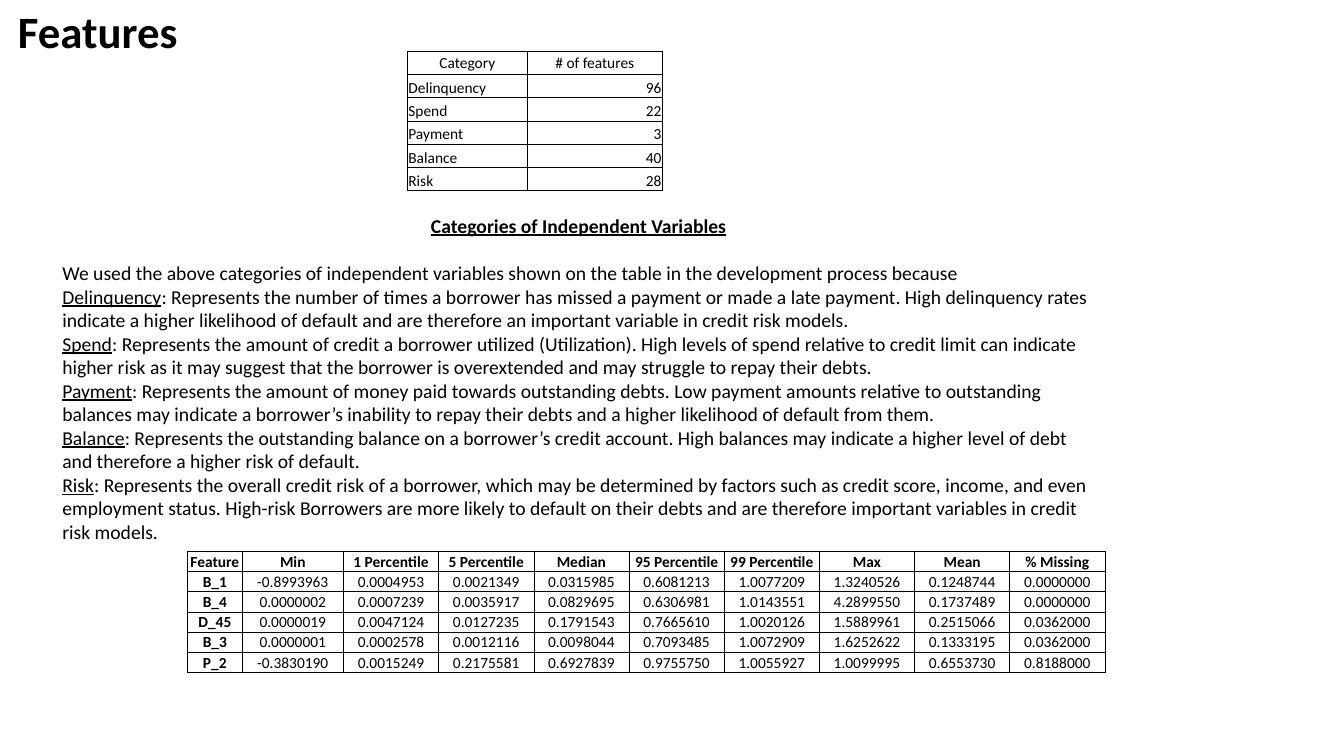
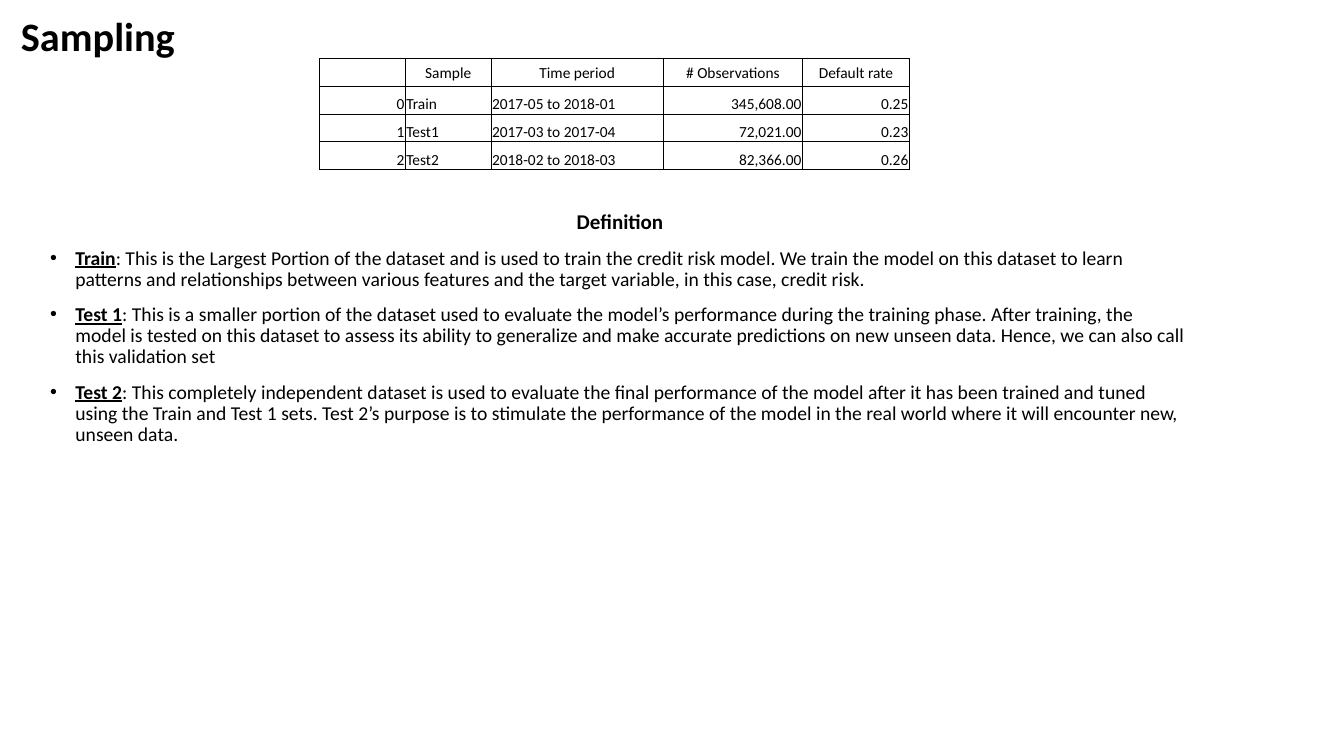
from lxml import etree
from pptx import Presentation
from pptx.dml.color import RGBColor
from pptx.enum.text import MSO_ANCHOR, PP_ALIGN
from pptx.oxml.ns import qn
from pptx.util import Pt

LEFT, MID, RIGHT = PP_ALIGN.LEFT, PP_ALIGN.CENTER, PP_ALIGN.RIGHT
CENTRE, BOTTOM = MSO_ANCHOR.MIDDLE, MSO_ANCHOR.BOTTOM
SCALE = 9144
FONT = "Calibri"
BLANK = 6
COLORS = {"ink": "000000"}

GROUPS = [
    ["Category", "# of features"],
    ["Delinquency", "96"],
    ["Spend", "22"],
    ["Payment", "3"],
    ["Balance", "40"],
    ["Risk", "28"],
]
STATS = [
    ["Feature", "Min", "1 Percentile", "5 Percentile", "Median", "95 Percentile",
     "99 Percentile", "Max", "Mean", "% Missing"],
    ["B_1", "-0.8993963", "0.0004953", "0.0021349", "0.0315985", "0.6081213",
     "1.0077209", "1.3240526", "0.1248744", "0.0000000"],
    ["B_4", "0.0000002", "0.0007239", "0.0035917", "0.0829695", "0.6306981",
     "1.0143551", "4.2899550", "0.1737489", "0.0000000"],
    ["D_45", "0.0000019", "0.0047124", "0.0127235", "0.1791543", "0.7665610",
     "1.0020126", "1.5889961", "0.2515066", "0.0362000"],
    ["B_3", "0.0000001", "0.0002578", "0.0012116", "0.0098044", "0.7093485",
     "1.0072909", "1.6252622", "0.1333195", "0.0362000"],
    ["P_2", "-0.3830190", "0.0015249", "0.2175581", "0.6927839", "0.9755750",
     "1.0055927", "1.0099995", "0.6553730", "0.8188000"],
]
SAMPLES = [
    ["", "Sample", "Time period", "# Observations", "Default rate"],
    ["0", "Train", "2017-05 to 2018-01", "345,608.00", "0.25"],
    ["1", "Test1", "2017-03 to 2017-04", "72,021.00", "0.23"],
    ["2", "Test2", "2018-02 to 2018-03", "82,366.00", "0.26"],
]
INTRO = ("We used the above categories of independent variables shown on the table "
         "in the development process because")
REASONS = [
    ("Delinquency", ": Represents the number of times a borrower has missed a payment or "
     "made a late payment. High delinquency rates indicate a higher likelihood of default "
     "and are therefore an important variable in credit risk models."),
    ("Spend", ": Represents the amount of credit a borrower utilized (Utilization). High "
     "levels of spend relative to credit limit can indicate higher risk as it may suggest "
     "that the borrower is overextended and may struggle to repay their debts."),
    ("Payment", ": Represents the amount of money paid towards outstanding debts. Low "
     "payment amounts relative to outstanding balances may indicate a borrower’s inability "
     "to repay their debts and a higher likelihood of default from them."),
    ("Balance", ": Represents the outstanding balance on a borrower’s credit account. High "
     "balances may indicate a higher level of debt and therefore a higher risk of default."),
    ("Risk", ": Represents the overall credit risk of a borrower, which may be determined by "
     "factors such as credit score, income, and even employment status. High-risk Borrowers "
     "are more likely to default on their debts and are therefore important variables in "
     "credit risk models."),
]
SETS = [
    ("Train", ": This is the Largest Portion of the dataset and is used to train the credit "
     "risk model. We train the model on this dataset to learn patterns and relationships "
     "between various features and the target variable, in this case, credit risk."),
    ("Test 1", ": This is a smaller portion of the dataset used to evaluate the model’s "
     "performance during the training phase. After training, the model is tested on this "
     "dataset to assess its ability to generalize and make accurate predictions on new "
     "unseen data. Hence, we can also call this validation set"),
    ("Test 2", ": This completely independent dataset is used to evaluate the final "
     "performance of the model after it has been trained and tuned using the Train and "
     "Test 1 sets. Test 2’s purpose is to stimulate the performance of the model in the "
     "real world where it will encounter new, unseen data."),
]


def px(value):
    return round(value * SCALE)


def style(run, size, bold=False, line=False):
    font = run.font
    font.name, font.size = FONT, Pt(size)
    font.bold, font.underline = bold, line
    font.color.rgb = RGBColor.from_string(COLORS["ink"])


def add_box(slide, box):
    frame = slide.shapes.add_textbox(*map(px, box)).text_frame
    frame.word_wrap = True
    return frame


def add_title(slide, box, text, size):
    frame = add_box(slide, box)
    frame.text = text
    frame.vertical_anchor = CENTRE
    para = frame.paragraphs[0]
    para.line_spacing = 0.9
    style(para.runs[0], size, True)


def add_head(frame, text, size, line=False):
    para = frame.paragraphs[0]
    para.text = text
    para.alignment = MID
    style(para.runs[0], size, True, line)
    return para


def add_term(frame, term, text, bold=False):
    para = frame.add_paragraph()
    for part, lead in ((term, True), (text, False)):
        run = para.add_run()
        run.text = part
        style(run, 14, bold and lead, lead)
    return para


def add_dot(para):
    props = para._p.get_or_add_pPr()
    props.set("marL", str(px(25)))
    props.set("indent", str(px(-25)))
    etree.SubElement(props, qn("a:buFont")).set("typeface", "Arial")
    etree.SubElement(props, qn("a:buChar")).set("char", "•")


def add_edges(cell):
    props = cell._tc.get_or_add_tcPr()
    for side in ("lnL", "lnR", "lnT", "lnB"):
        edge = etree.SubElement(props, qn("a:" + side), w=str(Pt(0.5)))
        fill = etree.SubElement(edge, qn("a:solidFill"))
        etree.SubElement(fill, qn("a:srgbClr"), val=COLORS["ink"])


def fill_cell(cell, text, align, anchor, bold):
    cell.margin_left = cell.margin_right = cell.margin_top = px(1)
    cell.margin_bottom = 0
    cell.vertical_anchor = anchor
    add_edges(cell)
    cell.fill.background()
    para = cell.text_frame.paragraphs[0]
    para.alignment = align
    if text:
        para.text = text
        style(para.runs[0], 11, bold)
    else:
        etree.SubElement(para._p, qn("a:endParaRPr"), sz="1100")


def add_grid(slide, box, widths, rows, aligns, bold=False):
    table = slide.shapes.add_table(len(rows), len(widths), *map(px, box)).table
    table.first_row = table.horz_banding = False
    for col, width in zip(table.columns, widths):
        col.width = px(box[2] * width / sum(widths))
    for r, row in enumerate(rows):
        table.rows[r].height = px(box[3] / len(rows))
        for c, text in enumerate(row):
            align, anchor = (aligns[c], BOTTOM) if r else (MID, CENTRE)
            fill_cell(table.cell(r, c), text, align, anchor, bold and 0 in (r, c))


def add_features(slide):
    add_title(slide, (8, 16, 1150, 35), "Features", 32)
    add_grid(slide, (404, 51, 253, 138), [119, 134], GROUPS, [LEFT, RIGHT])
    frame = add_box(slide, (52, 207, 1044, 481))
    head = add_head(frame, "Categories of Independent Variables", 14, True)
    head.space_after = Pt(17)
    intro = frame.add_paragraph()
    intro.text = INTRO
    style(intro.runs[0], 14)
    for term, text in REASONS:
        add_term(frame, term, text)
    add_grid(slide, (186, 547, 910, 120), [54, 100] + [94] * 8, STATS, [MID] * 10, True)


def add_sampling(slide):
    add_title(slide, (11, 17, 1150, 42), "Sampling", 28.8)
    frame = add_box(slide, (40, 205, 1150, 437))
    add_head(frame, "Definition", 15).line_spacing = 0.9
    for term, text in SETS:
        para = add_term(frame, term, text, True)
        para.line_spacing = 0.9
        para.space_before = Pt(10)
        add_dot(para)
    add_grid(slide, (317, 58, 585, 110), [85, 85, 171, 138, 106], SAMPLES,
             [RIGHT, LEFT, LEFT, RIGHT, RIGHT])


def main():
    deck = Presentation()
    deck.slide_width, deck.slide_height = px(1333), px(750)
    for build in (add_features, add_sampling):
        build(deck.slides.add_slide(deck.slide_layouts[BLANK]))
    deck.save("out.pptx")


if __name__ == "__main__":
    main()
